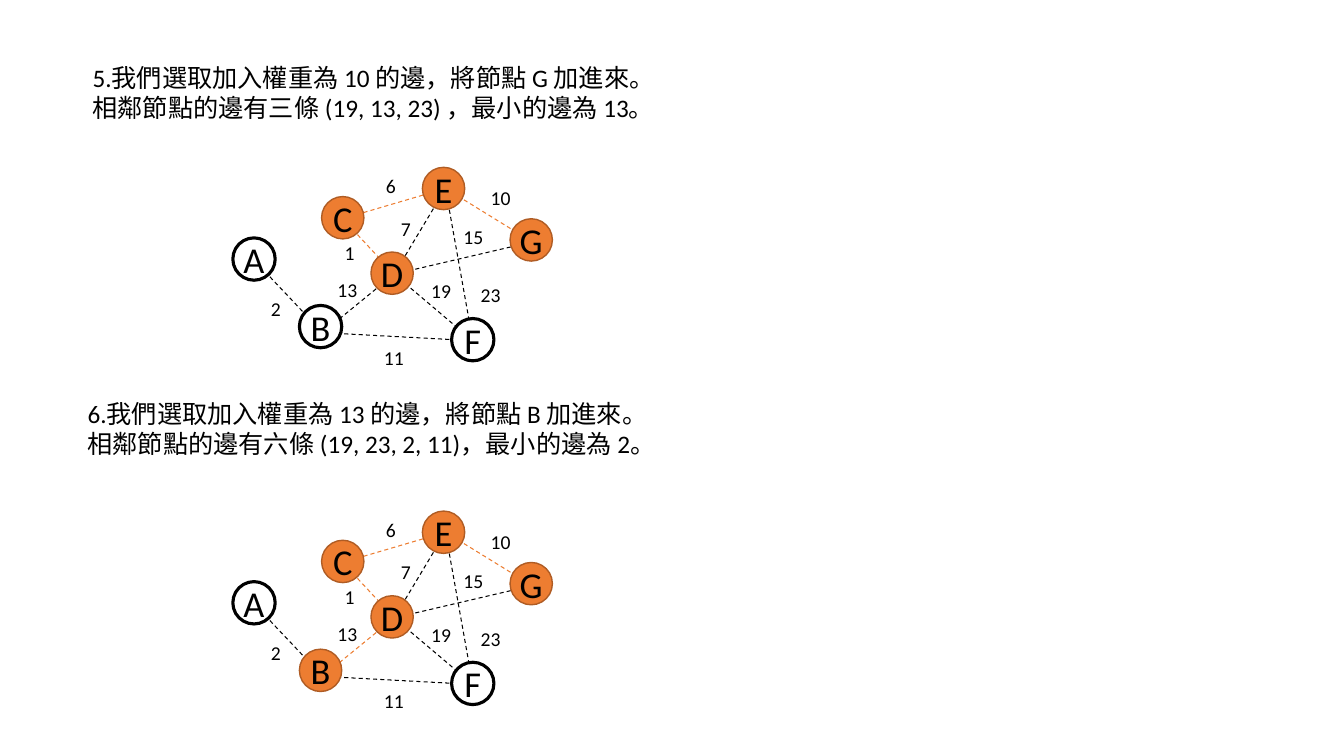
import pptx
import pptx.util
import pptx.dml.color
import pptx.enum.dml
import pptx.enum.shapes
import pptx.enum.text
import pptx.oxml.ns
import lxml.etree

SLIDE_COLUMNS, SLIDE_ROWS = 133.33, 75
CELL = pptx.util.Inches(0.1)

BLACK = pptx.dml.color.RGBColor(0x00, 0x00, 0x00)
WHITE = pptx.dml.color.RGBColor(0xFF, 0xFF, 0xFF)
ORANGE = pptx.dml.color.RGBColor(0xED, 0x7D, 0x31)
BROWN = pptx.dml.color.RGBColor(0xAF, 0x5C, 0x24)
FONT = "Calibri"

NODE_SIZE = 4.2
WEIGHT_SIZE = (4.3, 3.4)

NODE_CENTRES = {
    "A": (2.1, 9.1),
    "F": (23.8, 17.1),
    "B": (8.7, 15.8),
    "D": (15.8, 10.5),
    "G": (29.6, 7.2),
    "C": (10.9, 5.0),
    "E": (20.9, 2.1),
}
EDGE_ENDS = {
    "A": (2.2, 9.3),
    "F": (23.8, 17.2),
    "B": (8.9, 16.4),
    "D": (16.0, 10.6),
    "G": (29.7, 7.4),
    "C": (10.9, 5.1),
    "E": (21.1, 2.1),
}
EDGES = {
    "AB": (2, 2.8, 12.4),
    "CD": (1, 10.1, 6.8),
    "EF": (23, 23.6, 11.0),
    "DG": (15, 21.9, 5.2),
    "BF": (11, 14.0, 17.2),
    "BD": (13, 9.4, 10.5),
    "CE": (6, 14.2, 0.2),
    "EG": (10, 24.6, 1.4),
    "DE": (7, 15.7, 4.4),
    "DF": (19, 18.7, 10.6),
}
STEPS = [
    {
        "lines": ["5.我們選取加入權重為 10 的邊，將節點 G 加進來。",
                  "相鄰節點的邊有三條 (19, 13, 23) ，最小的邊為 13。"],
        "text_box": (8.2, 5.7, 113, 7.1),
        "graph_corner": (23.1, 16.6),
        "tree": ["CD", "CE", "EG"],
    },
    {
        "lines": ["6.我們選取加入權重為 13 的邊，將節點 B 加進來。",
                  "相鄰節點的邊有六條 (19, 23, 2, 11)，最小的邊為 2。"],
        "text_box": (7.7, 39, 113, 7.1),
        "graph_corner": (23.1, 50.7),
        "tree": ["CD", "CE", "EG", "BD"],
    },
]


def cells(*counts):
    return [round(count * CELL) for count in counts]


def add_run(paragraph, text, size):
    run = paragraph.add_run()
    run.text = text
    run.font.name = FONT
    run.font.size = pptx.util.Pt(size)
    run.font.color.rgb = BLACK


def add_text(slide, box, lines, size):
    frame = slide.shapes.add_textbox(*cells(*box)).text_frame
    frame.word_wrap = True
    for index, line in enumerate(lines):
        paragraph = frame.add_paragraph() if index else frame.paragraphs[0]
        add_run(paragraph, line, size)


def add_edge(slide, start, end, in_tree):
    connector = slide.shapes.add_connector(
        pptx.enum.shapes.MSO_CONNECTOR.STRAIGHT, *cells(*start, *end))
    connector.line.color.rgb = ORANGE if in_tree else BLACK
    connector.line.width = pptx.util.Pt(0.75)
    connector.line.dash_style = pptx.enum.dml.MSO_LINE.DASH
    properties = connector._element.spPr
    lxml.etree.SubElement(properties, pptx.oxml.ns.qn("a:effectLst"))


def add_node(slide, centre, letter, in_tree):
    left, top = (value - NODE_SIZE / 2 for value in centre)
    shape = slide.shapes.add_shape(
        pptx.enum.shapes.MSO_SHAPE.OVAL, *cells(left, top, NODE_SIZE, NODE_SIZE))
    shape.shadow.inherit = False
    shape.fill.solid()
    shape.fill.fore_color.rgb = ORANGE if in_tree else WHITE
    shape.line.color.rgb = BROWN if in_tree else BLACK
    shape.line.width = pptx.util.Pt(1 if in_tree else 2.25)
    frame = shape.text_frame
    frame.margin_left = frame.margin_right = 0
    frame.margin_top = frame.margin_bottom = 0
    frame.word_wrap = False
    frame.vertical_anchor = pptx.enum.text.MSO_ANCHOR.MIDDLE
    paragraph = frame.paragraphs[0]
    paragraph.alignment = pptx.enum.text.PP_ALIGN.CENTER
    add_run(paragraph, letter, 26)


def add_graph(slide, corner, tree):
    def placed(point):
        return corner[0] + point[0], corner[1] + point[1]

    for edge in EDGES:
        start, end = (placed(EDGE_ENDS[letter]) for letter in edge)
        add_edge(slide, start, end, edge in tree)
    tree_nodes = set("".join(tree))
    for letter, centre in NODE_CENTRES.items():
        add_node(slide, placed(centre), letter, letter in tree_nodes)
    for weight, left, top in EDGES.values():
        add_text(slide, (*placed((left, top)), *WEIGHT_SIZE), [str(weight)], 14)


def main():
    presentation = pptx.Presentation()
    presentation.slide_width, presentation.slide_height = cells(SLIDE_COLUMNS, SLIDE_ROWS)
    slide = presentation.slides.add_slide(presentation.slide_layouts[6])
    for step in STEPS:
        add_text(slide, step["text_box"], step["lines"], 18)
        add_graph(slide, step["graph_corner"], step["tree"])
    presentation.save("out.pptx")


if __name__ == "__main__":
    main()
